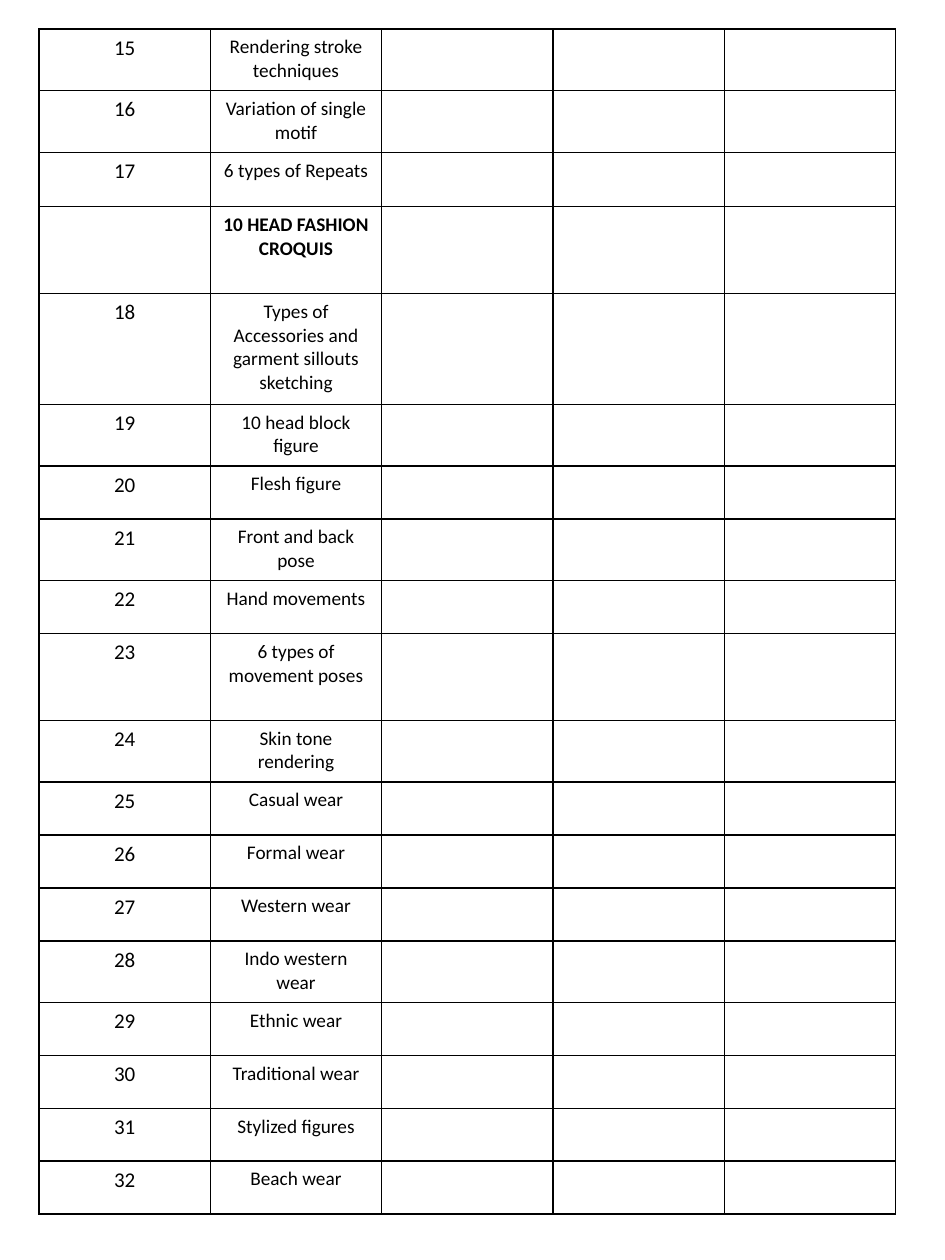
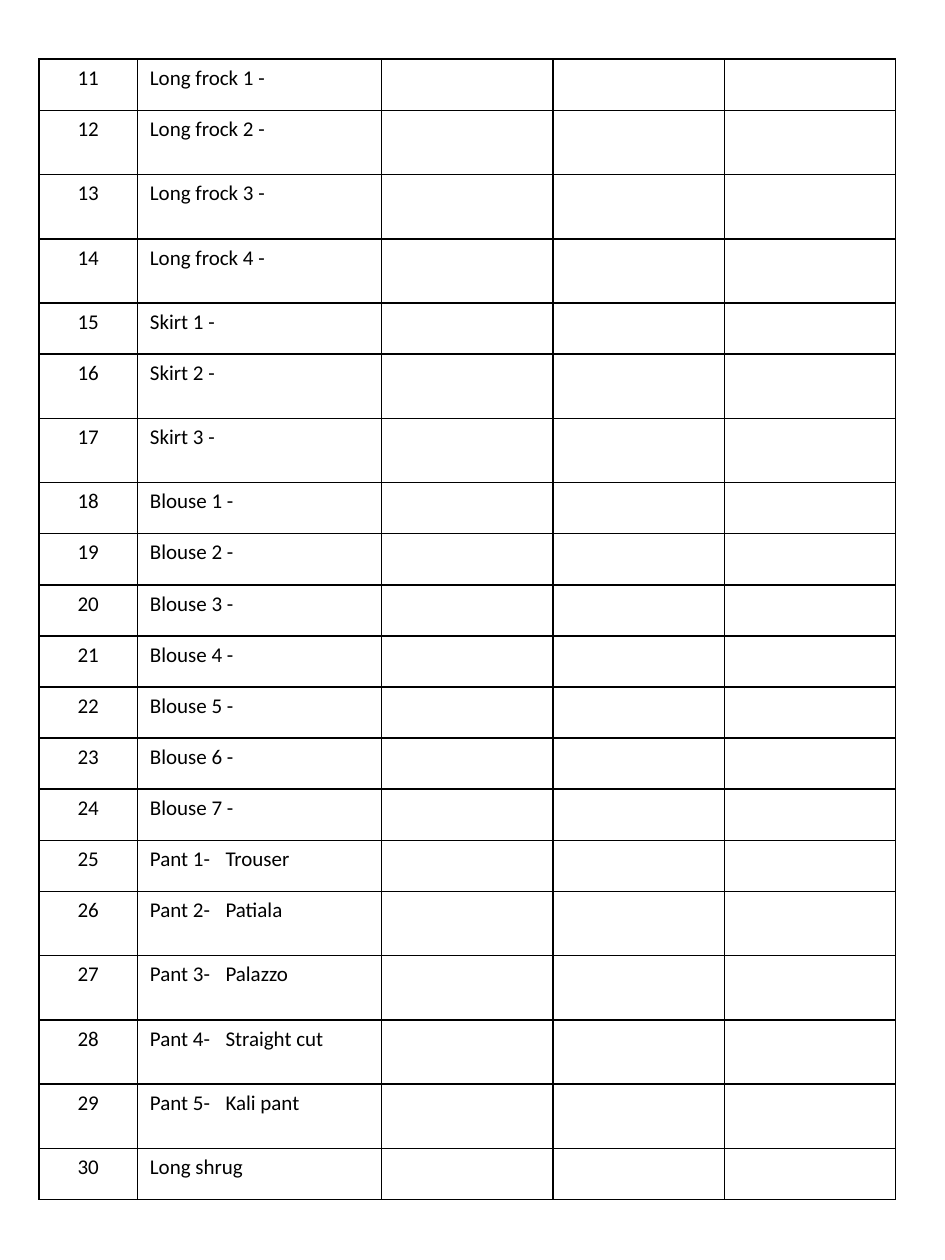
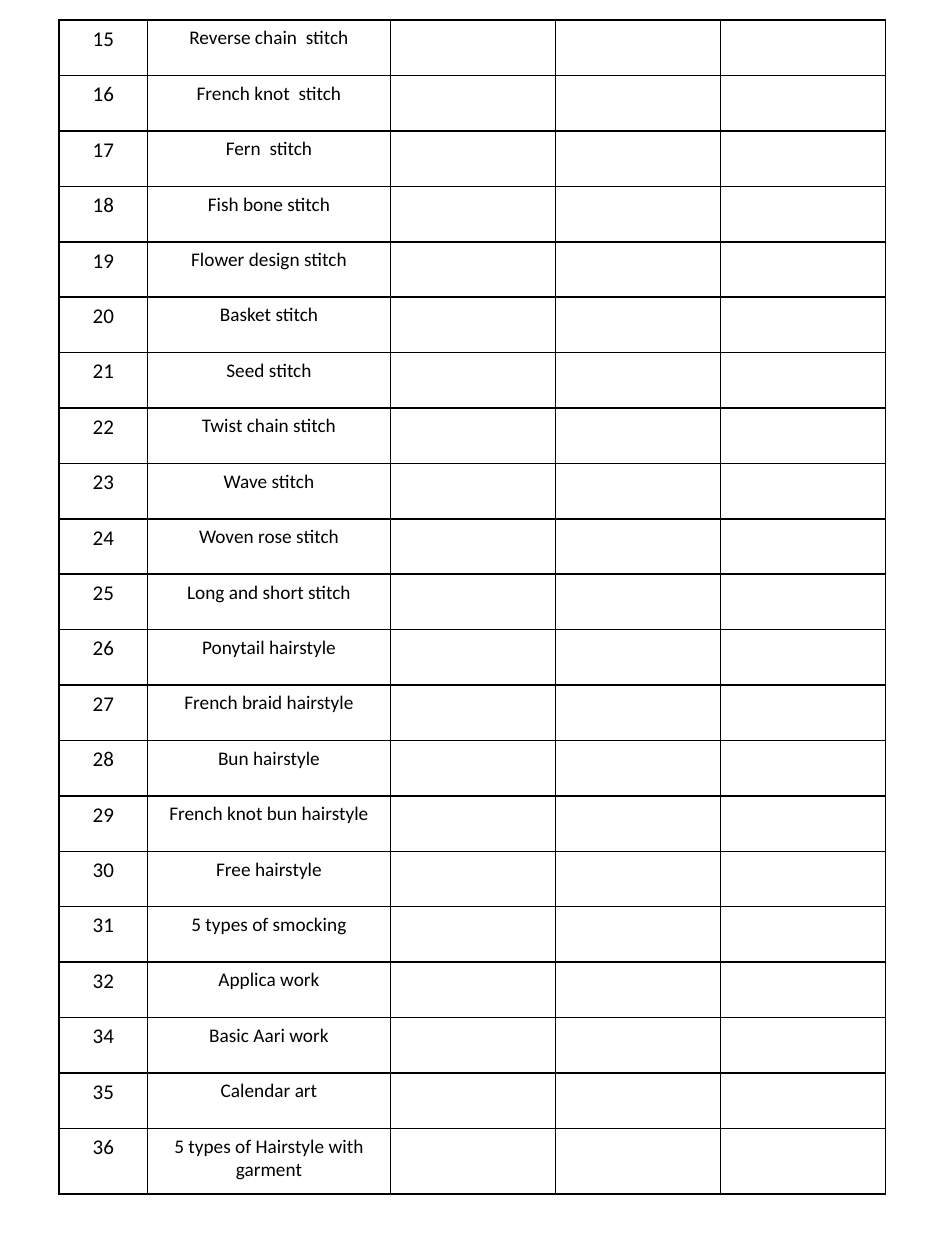
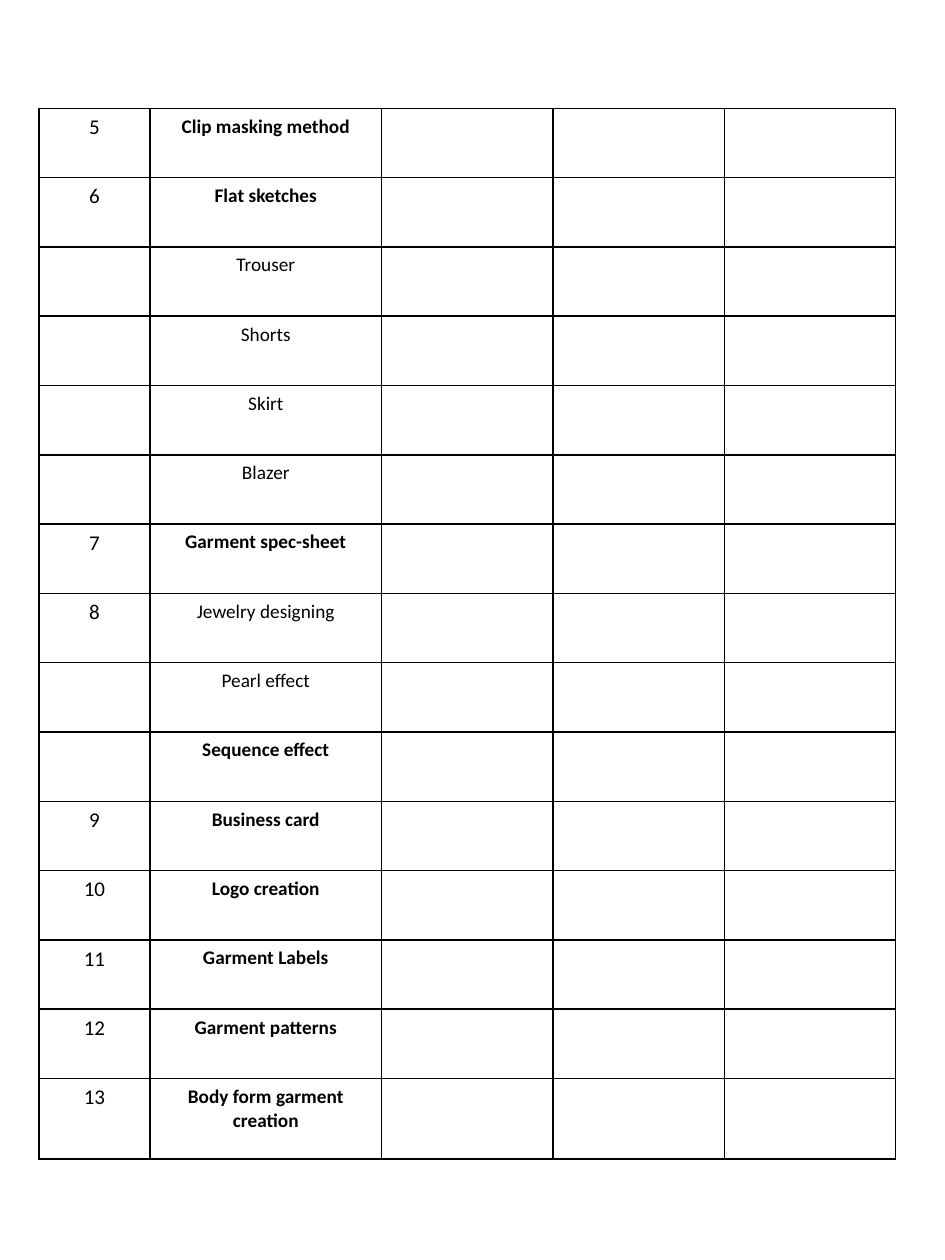
from dataclasses import dataclass

from lxml.etree import SubElement
from pptx import Presentation
from pptx.dml.color import RGBColor
from pptx.enum.text import PP_ALIGN
from pptx.oxml.ns import qn
from pptx.util import Inches, Pt


@dataclass(frozen=True)
class Theme:
    font: str = "Calibri"
    ink: str = "000000"
    paper: str = "FFFFFF"
    num: int = 12
    label: int = 11
    line: float = 1
    stop: float = 0.6


THEME = Theme()
SIZE = (7.5, 10)

RENDER = [
    ("15", "Rendering stroke techniques"),
    ("16", "Variation of single motif"),
    ("17", "6 types of Repeats"),
    ("", "10 HEAD FASHION CROQUIS"),
    ("18", "Types of Accessories and garment sillouts sketching"),
    ("19", "10 head block figure"),
    ("20", "Flesh figure"),
    ("21", "Front and back pose"),
    ("22", "Hand movements"),
    ("23", "6 types of movement poses"),
    ("24", "Skin tone rendering"),
    ("25", "Casual wear"),
    ("26", "Formal wear"),
    ("27", "Western wear"),
    ("28", "Indo western wear"),
    ("29", "Ethnic wear"),
    ("30", "Traditional wear"),
    ("31", "Stylized figures"),
    ("32", "Beach wear"),
]

SEWING = [
    ("11", "Long frock 1 -"),
    ("12", "Long frock 2 -"),
    ("13", "Long frock 3 -"),
    ("14", "Long frock 4 -"),
    ("15", "Skirt 1 -"),
    ("16", "Skirt 2 -"),
    ("17", "Skirt 3 -"),
    ("18", "Blouse 1 -"),
    ("19", "Blouse 2 -"),
    ("20", "Blouse 3 -"),
    ("21", "Blouse 4 -"),
    ("22", "Blouse 5 -"),
    ("23", "Blouse 6 -"),
    ("24", "Blouse 7 -"),
    ("25", ("Pant 1-", "Trouser")),
    ("26", ("Pant 2-", "Patiala")),
    ("27", ("Pant 3-", "Palazzo")),
    ("28", ("Pant 4-", "Straight cut")),
    ("29", ("Pant 5-", "Kali pant")),
    ("30", "Long shrug"),
]

STITCH = [
    ("15", "Reverse chain  stitch"),
    ("16", "French knot  stitch"),
    ("17", "Fern  stitch"),
    ("18", "Fish bone stitch"),
    ("19", "Flower design stitch"),
    ("20", "Basket stitch"),
    ("21", "Seed stitch"),
    ("22", "Twist chain stitch"),
    ("23", "Wave stitch"),
    ("24", "Woven rose stitch"),
    ("25", "Long and short stitch"),
    ("26", "Ponytail hairstyle"),
    ("27", "French braid hairstyle"),
    ("28", "Bun hairstyle"),
    ("29", "French knot bun hairstyle"),
    ("30", "Free hairstyle"),
    ("31", "5 types of smocking"),
    ("32", "Applica work"),
    ("34", "Basic Aari work"),
    ("35", "Calendar art"),
    ("36", "5 types of Hairstyle with garment"),
]

DIGITAL = [
    ("5", "Clip masking method"),
    ("6", "Flat sketches"),
    ("", "Trouser"),
    ("", "Shorts"),
    ("", "Skirt"),
    ("", "Blazer"),
    ("7", "Garment spec-sheet"),
    ("8", "Jewelry designing"),
    ("", "Pearl effect"),
    ("", "Sequence effect"),
    ("9", "Business card"),
    ("10", "Logo creation"),
    ("11", "Garment Labels"),
    ("12", "Garment patterns"),
    ("13", "Body form garment creation"),
]

PAGES = [
    dict(rows=RENDER, left=0.31, top=0.23, cols=(1.36, 1.36, 1.36), base=0.42,
         tall={0.43: [2], 0.49: [0, 1, 5, 7, 10, 14], 0.69: [3, 9], 0.88: [4]},
         bold=[3]),
    dict(rows=SEWING, left=0.31, top=0.47, cols=(0.78, 1.94, 1.36), base=0.4,
         tall={0.51: [1, 2, 3, 5, 6, 15, 16, 17, 18]},
         size=THEME.num, align=PP_ALIGN.LEFT),
    dict(rows=STITCH, left=0.47, top=0.16, cols=(0.7, 1.93, 1.31), base=0.44,
         tall={0.52: [20]}),
    dict(rows=DIGITAL, left=0.31, top=0.86, cols=(0.88, 1.84, 1.36), base=0.55,
         tall={0.64: [14]}, bold=[0, 1, 6, 9, 10, 11, 12, 13, 14]),
]


def write(cell, text, size=THEME.label, align=PP_ALIGN.CENTER, bold=False):
    if not text:
        return
    para = cell.text_frame.paragraphs[0]
    para.alignment = align
    if isinstance(text, tuple):
        tabs = SubElement(para._p.get_or_add_pPr(), qn("a:tabLst"))
        SubElement(tabs, qn("a:tab"), pos=str(Inches(THEME.stop)), algn="l")
        text = "\t".join(text)
    run = para.add_run()
    run.text = text
    font = run.font
    font.name, font.size, font.bold = THEME.font, Pt(size), bold
    font.color.rgb = RGBColor.from_string(THEME.ink)


def frame(cell):
    props = cell._tc.get_or_add_tcPr()
    for side in "LRTB":
        line = SubElement(props, qn(f"a:ln{side}"), w=str(Pt(THEME.line)))
        fill = SubElement(line, qn("a:solidFill"))
        SubElement(fill, qn("a:srgbClr"), val=THEME.ink)
    cell.fill.solid()
    cell.fill.fore_color.rgb = RGBColor.from_string(THEME.paper)


def build(slide, rows, left, top, cols, base, tall,
          bold=(), size=THEME.label, align=PP_ALIGN.CENTER):
    num, label, mark = cols
    widths = [num, label] + [mark] * 3
    heights = [base] * len(rows)
    for height, places in tall.items():
        for place in places:
            heights[place] = height
    table = slide.shapes.add_table(
        len(rows), len(widths), Inches(left), Inches(top),
        Inches(sum(widths)), Inches(sum(heights))).table
    table.first_row = table.horz_banding = False
    for col, width in zip(table.columns, widths):
        col.width = Inches(width)
    for row, height in zip(table.rows, heights):
        row.height = Inches(height)
    for cell in table.iter_cells():
        frame(cell)
    for at, (mark, text) in enumerate(rows):
        write(table.cell(at, 0), mark, size=THEME.num)
        write(table.cell(at, 1), text, size=size, align=align, bold=at in bold)


def main():
    deck = Presentation()
    deck.slide_width, deck.slide_height = map(Inches, SIZE)
    for page in PAGES:
        build(deck.slides.add_slide(deck.slide_layouts[6]), **page)
    deck.save("out.pptx")


if __name__ == "__main__":
    main()
